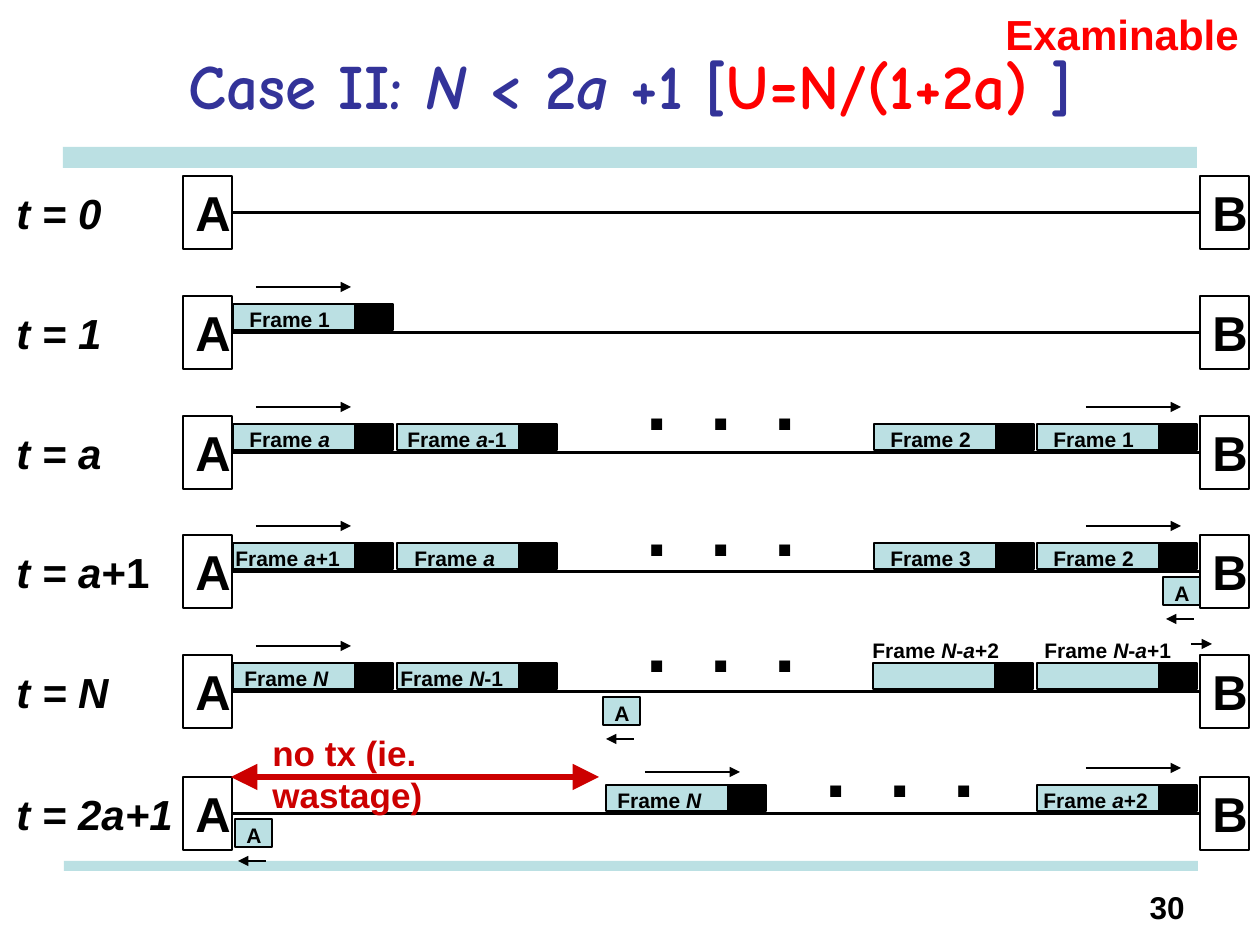
from lxml import etree
from pptx import Presentation, util as u
from pptx.dml.color import RGBColor
from pptx.enum import shapes as sh, text as tx
from pptx.oxml.ns import qn

PX = 914400 / 126
BLACK = RGBColor(0x00, 0x00, 0x00)
TEAL = RGBColor(0xBB, 0xE0, 0xE3)
NAVY = RGBColor(0x33, 0x33, 0x99)
RED = RGBColor(0xFF, 0x00, 0x00)
DARK_RED = RGBColor(0xCC, 0x00, 0x00)

STATION_A, STATION_B = 183, 1200
STATION_SIZE = 49, 73
LEFT_ARROW, RIGHT_ARROW = (256, 351, -9), (1086, 1181, -9)

# Frames are (frame left, label left, label width, label); *...* marks italics.
# Arrows are (start, end, height from the top of the row).
ROWS = [
    dict(top=176, time=("*t = 0*", 115)),
    dict(top=296, time=("*t = 1*", 115), arrows=[LEFT_ARROW],
         frames=[(233, 237, 110, "Frame 1")]),
    dict(top=416, time=("*t = a*", 115), arrows=[LEFT_ARROW, RIGHT_ARROW],
         frames=[(233, 237, 110, "Frame *a*"), (397, 395, 130, "Frame *a*-1"),
                 (874, 878, 110, "Frame 2"), (1037, 1041, 110, "Frame 1")],
         dots=(634, -69)),
    dict(top=535, time=("*t = a*+1", 164), arrows=[LEFT_ARROW, RIGHT_ARROW],
         frames=[(233, 223, 134, "Frame *a*+1"), (397, 402, 110, "Frame *a*"),
                 (874, 878, 110, "Frame 3"), (1037, 1041, 110, "Frame 2")],
         dots=(634, -62), ack=1163),
    dict(top=655, time=("*t = N*", 122), arrows=[LEFT_ARROW, (1191, 1212, -11)],
         frames=[(233, 232, 114, "Frame *N*"), (397, 388, 134, "Frame *N*-1")],
         captioned=[(873, 860, 160, "Frame *N*-*a*+2"),
                    (1037, 1032, 160, "Frame *N*-*a*+1")],
         dots=(634, -66), ack=603),
    dict(top=777, time=("*t = 2a+1*", 192),
         arrows=[(645, 740, -5), RIGHT_ARROW],
         frames=[(606, 605, 114, "Frame *N*"), (1037, 1031, 134, "Frame *a*+2")],
         dots=(813, -63), ack=235),
]


def px(*lengths):
    return [u.Emu(round(length * PX)) for length in lengths]


def add_run(paragraph, words, **font):
    run = paragraph.add_run()
    run.text = words
    color = font.pop("color", BLACK)
    for name, value in {"name": "Arial", "bold": True, **font}.items():
        setattr(run.font, name, value)
    run.font.color.rgb = color


def add_marked(paragraph, marked, size, color=BLACK):
    """Write words, with the parts between asterisks in italics."""
    for i, words in enumerate(marked.split("*")):
        if words:
            add_run(paragraph, words, size=u.Pt(size), italic=i % 2 == 1, color=color)


def add_label(slide, box, marked, size, color=BLACK, wrap=False,
              align=tx.PP_ALIGN.LEFT):
    frame = slide.shapes.add_textbox(*px(*box)).text_frame
    frame.word_wrap = wrap
    paragraph = frame.paragraphs[0]
    paragraph.alignment = align
    add_marked(paragraph, marked, size, color)
    return paragraph


def add_rect(slide, box, fill=None, outline=True):
    rect = slide.shapes.add_shape(sh.MSO_SHAPE.RECTANGLE, *px(*box))
    rect.shadow.inherit = False
    if fill is None:
        rect.fill.background()
    else:
        rect.fill.solid()
        rect.fill.fore_color.rgb = fill
    if outline:
        rect.line.color.rgb = BLACK
        rect.line.width = u.Pt(1)
    else:
        rect.line.fill.background()
    return rect


def add_line(slide, start, end, width=1, color=BLACK, ends=(), head="med"):
    line = slide.shapes.add_connector(sh.MSO_CONNECTOR.STRAIGHT, *px(*start, *end))
    line.line.color.rgb = color
    line.line.width = u.Pt(width)
    properties = line.element.spPr
    for end_name in ends:
        etree.SubElement(properties.find(qn("a:ln")), qn(end_name),
                         type="triangle", w=head, len=head)
    etree.SubElement(properties, qn("a:effectLst"))
    return line


def add_arrow(slide, x1, x2, y):
    add_line(slide, (x1, y), (x2, y), ends=["a:tailEnd"])


def add_station(slide, left, top, letter):
    station = add_rect(slide, (left, top, *STATION_SIZE))
    frame = station.text_frame
    frame.word_wrap = True
    frame.vertical_anchor = tx.MSO_ANCHOR.TOP
    frame.paragraphs[0].alignment = tx.PP_ALIGN.CENTER
    add_marked(frame.paragraphs[0], letter, 28)
    return station


def add_frame(slide, top, left, label_left, label_width, label, label_shift=-4):
    """Draw a frame with its black header and its label."""
    add_rect(slide, (left, top, 158, 26), TEAL)
    add_rect(slide, (left + 122, top, 38, 26), BLACK)
    add_label(slide, (label_left, top + label_shift, label_width, 38), label, 12)


def add_ack(slide, left, top):
    add_rect(slide, (left, top, 37, 28), TEAL)
    add_label(slide, (left - 1, top - 3, 40, 38), "A", 12)
    add_arrow(slide, left + 31, left + 3, top + 42)


def add_row(slide, top, time, arrows=(), frames=(), captioned=(), dots=None, ack=None):
    """Draw the link between both stations at one moment."""
    marked, width = time
    add_label(slide, (4, top + 5, width, 63), marked, 24)
    sender = add_station(slide, STATION_A, top, "A")
    receiver = add_station(slide, STATION_B, top, "B")
    middle = top + STATION_SIZE[1] / 2
    link = add_line(slide, (STATION_A + STATION_SIZE[0], middle),
                    (STATION_B, middle), 2)
    link.begin_connect(sender, 3)
    link.end_connect(receiver, 1)
    for x1, x2, shift in arrows:
        add_arrow(slide, x1, x2, top + shift)
    for frame in frames:
        add_frame(slide, top + 8, *frame)
    for frame in captioned:
        add_frame(slide, top + 8, *frame, label_shift=-32)
    if dots:
        left, shift = dots
        paragraph = add_label(slide, (left, top + shift, 242, 105), ".  .  .", 44,
                              wrap=True)
        paragraph.space_before = u.Pt(4)
    if ack:
        add_ack(slide, ack, top + 42)


def add_heading(slide, box):
    frame = slide.shapes.add_textbox(*px(*box)).text_frame
    frame.word_wrap = True
    frame.vertical_anchor = tx.MSO_ANCHOR.MIDDLE
    title = frame.paragraphs[0]
    title.alignment = tx.PP_ALIGN.CENTER
    for words, italic, color in [
            ("Case II: ", False, NAVY), ("N ", True, NAVY), ("< 2", False, NAVY),
            ("a", True, NAVY), (" +1 [", False, NAVY),
            ("U=N/(1+2a) ", False, RED), ("]", False, NAVY)]:
        add_run(title, words, name="Comic Neue", size=u.Pt(36), italic=italic,
                color=color)


def add_wastage(slide, left, top, width):
    add_line(slide, (left, top), (left + width, top), 3, DARK_RED,
             ["a:headEnd", "a:tailEnd"], head="lg")
    add_label(slide, (left + 29, top - 52, 328, 54), "no tx (ie. wastage)", 20,
              DARK_RED, wrap=True)


def main():
    deck = Presentation()
    deck.slide_width, deck.slide_height = px(1260, 945)
    slide = deck.slides.add_slide(deck.slide_layouts[6])
    for bar in [(63, 147, 1134, 21), (64, 861, 1134, 10)]:
        add_rect(slide, bar, TEAL, outline=False)
    add_heading(slide, (63, 21, 1134, 126))
    add_label(slide, (1113, 882, 84, 53), "30", 18, wrap=True,
              align=tx.PP_ALIGN.RIGHT)
    for row in ROWS:
        add_row(slide, **row)
    add_wastage(slide, 231, 777, 368)
    add_label(slide, (993, 2, 368, 63), "Examinable", 24, RED, wrap=True)
    deck.save("out.pptx")


if __name__ == "__main__":
    main()
